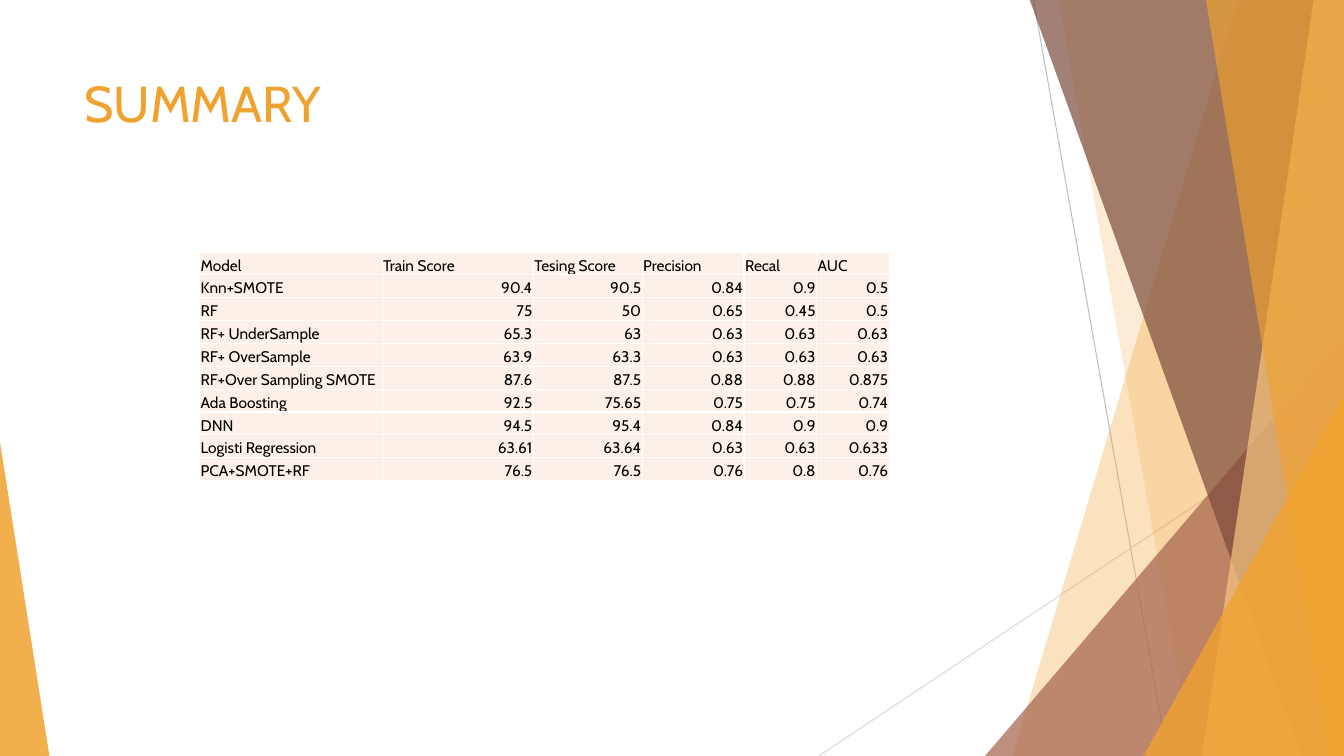
from lxml.etree import SubElement
from pptx import Presentation
from pptx.dml.color import RGBColor
from pptx.enum.shapes import MSO_CONNECTOR, MSO_SHAPE
from pptx.enum.text import MSO_ANCHOR, PP_ALIGN
from pptx.oxml.ns import qn
from pptx.util import Inches, Pt

# Content
TITLE = "SUMMARY"
ROWS = [
    ("Model", "Train Score", "Tesing Score", "Precision", "Recal", "AUC"),
    ("Knn+SMOTE", "90.4", "90.5", "0.84", "0.9", "0.5"),
    ("RF", "75", "50", "0.65", "0.45", "0.5"),
    ("RF+ UnderSample", "65.3", "63", "0.63", "0.63", "0.63"),
    ("RF+ OverSample", "63.9", "63.3", "0.63", "0.63", "0.63"),
    ("RF+Over Sampling SMOTE", "87.6", "87.5", "0.88", "0.88", "0.875"),
    ("Ada Boosting", "92.5", "75.65", "0.75", "0.75", "0.74"),
    ("DNN", "94.5", "95.4", "0.84", "0.9", "0.9"),
    ("Logisti Regression", "63.61", "63.64", "0.63", "0.63", "0.633"),
    ("PCA+SMOTE+RF", "76.5", "76.5", "0.76", "0.8", "0.76"),
]
WIDTHS = [1.81, 1.5, 1.08, 1.01, 0.72, 0.72]

# Look
FONT, GOLD, BLACK, WHITE, CREAM = "Cabin", "F0A22E", "000000", "FFFFFF", "FCF0E8"
WIDE, HIGH, TOP = 13.33, 7.5, -0.01
LINES = [  # start, end, colour
    ((10.25, 0), (11.58, HIGH), "BFBFBF"),
    ((WIDE, 4.03), (8.12, HIGH), "D9D9D9"),
]
# Back to front. Band: x at top, x at bottom; it runs to the right edge.
# Wedge: left, top, width, side of the peak; it stands on the bottom edge.
DECOR = [
    ("band", (12.28, 10.04), GOLD, 30),
    ("band", (10.5, 11.83), GOLD, 20),
    ("wedge", (9.77, 3.33, 3.56, 1), "A5644E", 72),
    ("band", (10.21, 12.91), "7C4B3B", 70),
    ("band", (13.03, 11.92), "F6C782", 70),
    ("band", (11.96, 13.18), GOLD, 65),
    ("wedge", (11.34, 3.93, 1.99, 1), GOLD, 80),
    ("wedge", (0, 4.39, 0.49, 0), GOLD, 85),
]

deck = Presentation()
deck.slide_width, deck.slide_height = Inches(WIDE), Inches(HIGH)
slide = deck.slides.add_slide(deck.slide_layouts[6])
shapes = slide.shapes


def paint(fmt, color):
    fmt.solid()
    fmt.fore_color.rgb = RGBColor.from_string(color)


def write(frame, text, size, color, align=PP_ALIGN.LEFT):
    frame.text = text
    para = frame.paragraphs[0]
    para.alignment = align
    font = para.runs[0].font
    font.name, font.size = FONT, Pt(size)
    paint(font.fill, color)


def band(top, foot):
    pen = shapes.build_freeform(Inches(top), Inches(TOP))
    ends = [(WIDE, TOP), (WIDE, HIGH), (foot, HIGH)]
    pen.add_line_segments([(Inches(x), Inches(y)) for x, y in ends])
    return pen.convert_to_shape()


def wedge(left, top, width, peak):
    shape = shapes.add_shape(
        MSO_SHAPE.ISOSCELES_TRIANGLE,
        Inches(left), Inches(top), Inches(width), Inches(HIGH - top))
    shape.adjustments[0] = peak
    return shape


def border(cell, color, width):
    props = cell._tc.get_or_add_tcPr()
    for side in ("a:lnL", "a:lnR", "a:lnT", "a:lnB"):
        edge = SubElement(props, qn(side), w=str(Pt(width)))
        fill = SubElement(edge, qn("a:solidFill"))
        SubElement(fill, qn("a:srgbClr"), val=color)


# Thin lines
for start, end, color in LINES:
    ends = [Inches(n) for n in start + end]
    line = shapes.add_connector(MSO_CONNECTOR.STRAIGHT, *ends)
    paint(line.line.fill, color)
    line.line.width = Pt(0.75)
    SubElement(line._element.spPr, qn("a:effectLst"))

# Bands and wedges
for kind, dims, color, alpha in DECOR:
    shape = band(*dims) if kind == "band" else wedge(*dims)
    shape.shadow.inherit = False
    shape.line.fill.background()
    paint(shape.fill, color)
    tint = shape._element.spPr.find(".//" + qn("a:srgbClr"))
    SubElement(tint, qn("a:alpha"), val=str(alpha * 1000))

# Title
box = shapes.add_textbox(Inches(0.74), Inches(0.67), Inches(9.4), Inches(1.44))
box.text_frame.word_wrap = True
write(box.text_frame, TITLE, 36, GOLD)

# Score table
table = shapes.add_table(
    len(ROWS), len(WIDTHS), Inches(1.98), Inches(2.5),
    Inches(sum(WIDTHS)), Inches(2.27)).table
table.first_row = table.horz_banding = False
for col, width in zip(table.columns, WIDTHS):
    col.width = Inches(width)
for r, row in enumerate(ROWS):
    for c, text in enumerate(row):
        cell = table.cell(r, c)
        cell.margin_left = cell.margin_right = cell.margin_top = Inches(0.01)
        cell.margin_bottom = 0
        cell.vertical_anchor = MSO_ANCHOR.BOTTOM
        align = PP_ALIGN.RIGHT if r and c else PP_ALIGN.LEFT
        write(cell.text_frame, text, 11, BLACK, align)
        border(cell, WHITE, 1)
        paint(cell.fill, CREAM)

deck.save("out.pptx")
